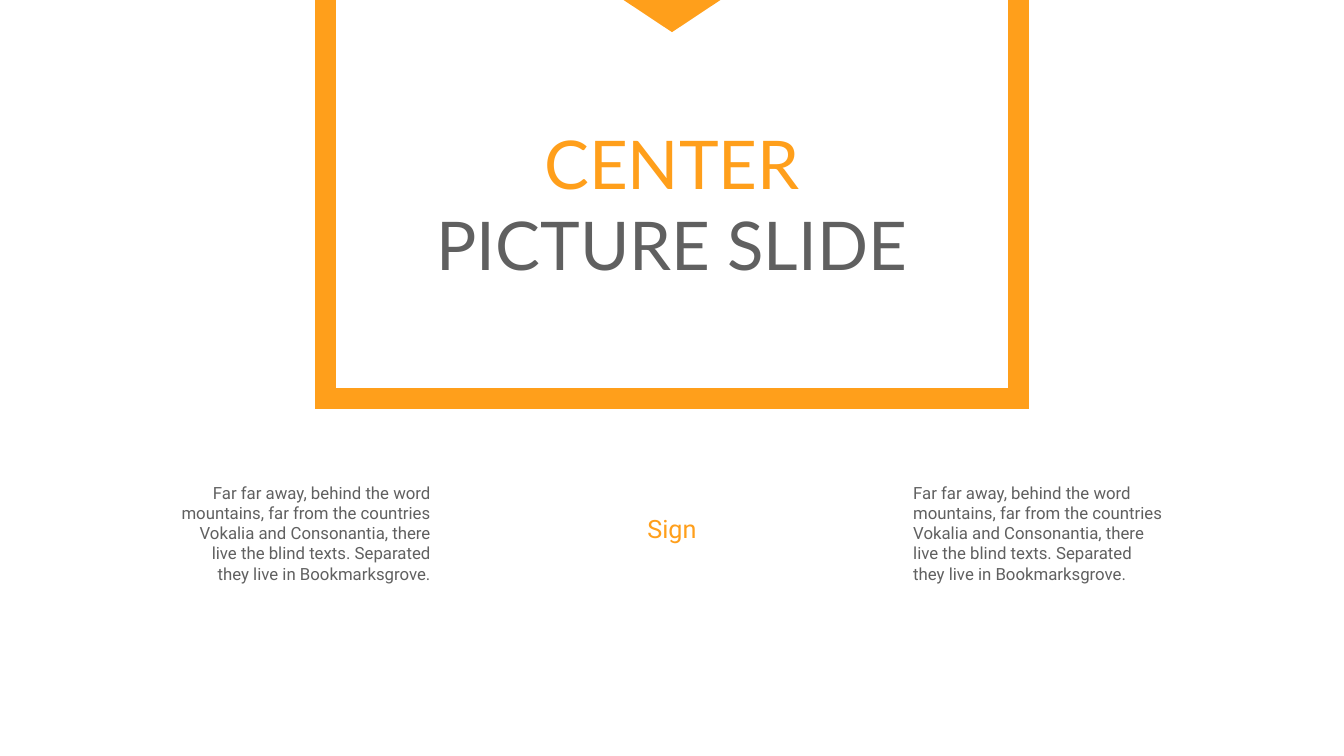
"""Builds a slide with a framed title, a centred sign label and two mirrored texts."""
from dataclasses import dataclass

from lxml.etree import SubElement
from pptx import Presentation
from pptx.dml.color import RGBColor
from pptx.enum.shapes import MSO_SHAPE
from pptx.enum.text import MSO_AUTO_SIZE, PP_ALIGN
from pptx.oxml.ns import qn
from pptx.util import Cm, Pt


@dataclass(frozen=True)
class Theme:
    accent: RGBColor = RGBColor(0xFF, 0x9F, 0x1B)
    grey: RGBColor = RGBColor(0x60, 0x60, 0x60)
    head_font: str = "Lato"
    body_font: str = "Roboto"
    title: int = 48
    sign: int = 18
    body: int = 12
    frame: int = 15


T = Theme()
TITLE = [("CENTER", T.accent), ("PICTURE SLIDE", T.grey)]
SIGN = [("Sign", T.accent)]
BODY = [("Far far away, behind the word mountains, far from the countries "
         "Vokalia and Consonantia, there live the blind texts. Separated "
         "they live in Bookmarksgrove.", T.grey)]

SLIDE_W, SLIDE_H = 33.87, 19.05
MID = SLIDE_W / 2
BODY_W, BODY_GAP = 6.85, 5.83


def centred(top, width, height):
    return [Cm(v) for v in (MID - width / 2, top, width, height)]


def add_text(s, box, lines, font, size, align, wrap=False):
    tf = s.shapes.add_textbox(*box).text_frame
    tf.word_wrap = wrap
    tf.auto_size = MSO_AUTO_SIZE.SHAPE_TO_FIT_TEXT
    for i, (text, color) in enumerate(lines):
        p = tf.add_paragraph() if i else tf.paragraphs[0]
        p.text = text
        p.alignment = align
        p.font.name = font
        p.font.size = Pt(size)
        p.font.color.rgb = color


def add_frame(s):
    sp = s.shapes.add_shape(MSO_SHAPE.RECTANGLE, *centred(-0.76, 17.48, 10.8))
    sp.shadow.inherit = False
    sp.fill.background()
    sp.line.color.rgb = T.accent
    sp.line.width = Pt(T.frame)
    ln = sp.element.spPr.find(qn("a:ln"))
    SubElement(ln, qn("a:miter"), lim="800000")


def add_pointer(s):
    sp = s.shapes.add_shape(MSO_SHAPE.ISOSCELES_TRIANGLE, *centred(0, 2.44, 0.81))
    sp.rotation = 180
    sp.shadow.inherit = False
    sp.fill.solid()
    sp.fill.fore_color.rgb = T.accent
    sp.line.fill.background()


def main():
    prs = Presentation()
    prs.slide_width, prs.slide_height = Cm(SLIDE_W), Cm(SLIDE_H)
    s = prs.slides.add_slide(prs.slide_layouts[6])

    add_text(s, centred(2.96, 12.98, 4.37), TITLE, T.head_font, T.title, PP_ALIGN.CENTER)
    add_text(s, centred(12.8, 2.9, 1.02), SIGN, T.body_font, T.sign, PP_ALIGN.CENTER)
    for left, align in ((MID - BODY_GAP - BODY_W, PP_ALIGN.RIGHT),
                        (MID + BODY_GAP, PP_ALIGN.LEFT)):
        box = [Cm(v) for v in (left, 12.04, BODY_W, 2.82)]
        add_text(s, box, BODY, T.body_font, T.body, align, wrap=True)
    add_frame(s)
    add_pointer(s)
    prs.save("out.pptx")


if __name__ == "__main__":
    main()
